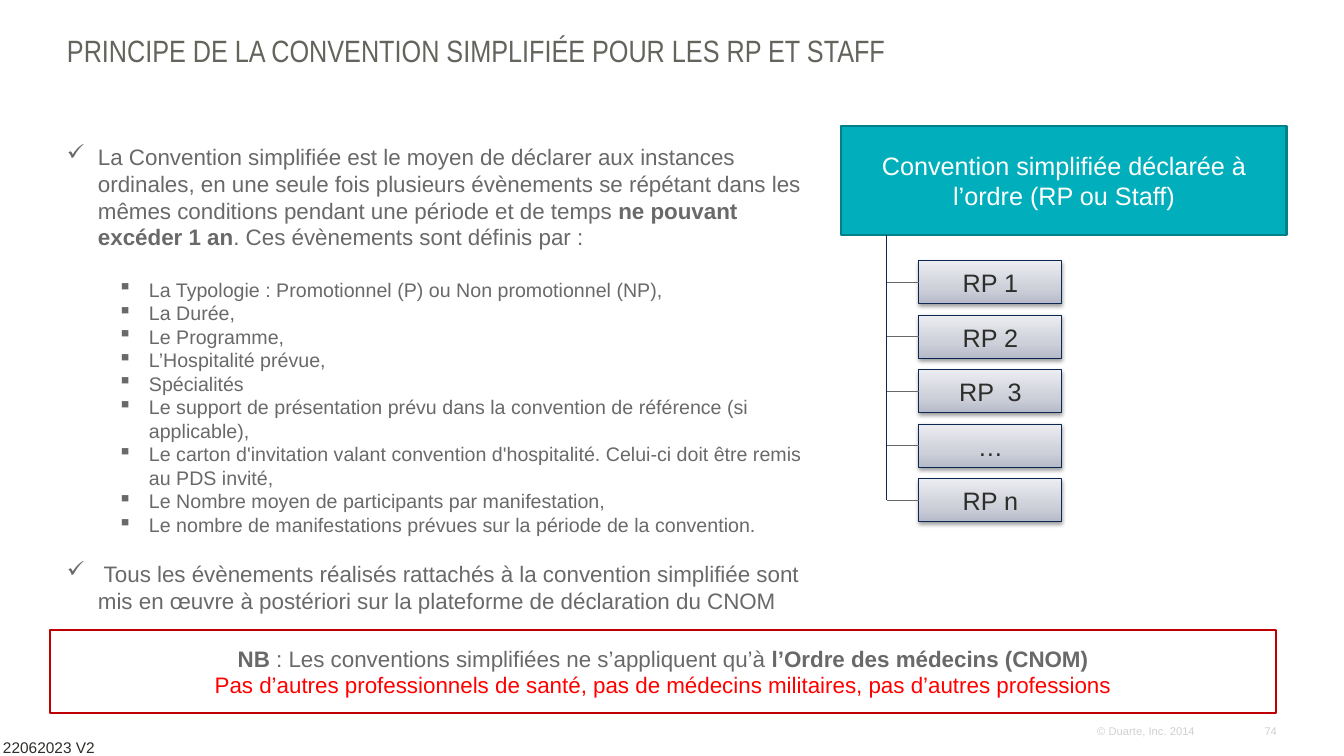
from lxml.etree import SubElement
from pptx import Presentation
from pptx.dml.color import RGBColor
from pptx.enum.shapes import MSO_CONNECTOR, MSO_SHAPE
from pptx.enum.text import MSO_ANCHOR, PP_ALIGN
from pptx.oxml.ns import qn
from pptx.util import Emu, Pt

TITLE = "PRINCIPE DE LA CONVENTION SIMPLIFIÉE POUR LES RP ET STAFF"
DEFINITION = [
    ("La Convention simplifiée est le moyen de déclarer aux instances ordinales, en une seule fois "
     "plusieurs évènements se répétant dans les mêmes conditions pendant une période et de temps ", False),
    ("ne pouvant excéder 1 an", True),
    (". Ces évènements sont définis par :", False),
]
CRITERIA = [
    "La Typologie : Promotionnel (P) ou Non promotionnel (NP),",
    "La Durée,",
    "Le Programme,",
    "L’Hospitalité prévue,",
    "Spécialités",
    "Le support de présentation prévu dans la convention de référence (si applicable),",
    "Le carton d'invitation valant convention d'hospitalité. Celui-ci doit être remis au PDS invité,",
    "Le Nombre moyen de participants par manifestation,",
    "Le nombre de manifestations prévues sur la période de la convention.",
]
FOLLOW_UP = [(" Tous les évènements réalisés rattachés à la convention simplifiée sont mis en œuvre "
              "à postériori sur la plateforme de déclaration du CNOM", False)]
CONVENTION = [("Convention simplifiée déclarée à l’ordre (RP ou Staff)", False)]
MEETINGS = ["RP 1", "RP 2", "RP  3", "…", "RP n"]
NOTE = [
    ("NB ", True),
    (": Les conventions simplifiées ne s’appliquent qu’à ", False),
    ("l’Ordre des médecins (CNOM)", True),
]
WARNING = [("Pas d’autres professionnels de santé, pas de médecins militaires, "
            "pas d’autres professions", False)]
# text, box in px, size, colour, alignment, margin in px
FOOTERS = [
    ("74", (1197, 724, 80, 13), 8, "D1D1D1", PP_ALIGN.RIGHT, 0),
    ("© Duarte, Inc. 2014", (1034, 724, 161, 13), 8, "D1D1D1", PP_ALIGN.RIGHT, 0),
    ("22062023 V2", (-7, 733, 285, 29), 11, "2D2D2A", PP_ALIGN.LEFT, (10, 5)),
]
GREY, DARK, NAVY = "696969", "2D2D2A", "0D2755"
MEETING_STOPS = [(0, "B6BAC9"), (35, "CDCFD9"), (100, "ECEDF1")]
MEETING_LEFT, MEETING_WIDTH, MEETING_HEIGHT = 919, 143, 43
FIRST_TOP, LAST_TOP = 261, 479
TRUNK_X, TRUNK_TOP = 887, 235


def px(length):
    return Emu(round(length * 914400 / 100.8))


def color(hex_string):
    return RGBColor.from_string(hex_string)


def place(shape, box):
    shape.left, shape.top, shape.width, shape.height = map(px, box)


def set_margins(frame, across=0, down=0):
    frame.margin_left = frame.margin_right = px(across)
    frame.margin_top = frame.margin_bottom = px(down)


def write(paragraph, runs, size, hex_string, align=PP_ALIGN.LEFT, font="Arial"):
    """Fill a paragraph with (text, bold) runs in one font."""
    for text, bold in runs:
        run = paragraph.add_run()
        run.text = text
        if bold:
            run.font.bold = True
    paragraph.alignment = align
    paragraph.font.name = font
    paragraph.font.size = Pt(size)
    paragraph.font.color.rgb = color(hex_string)


def add_bullet(paragraph, mark, margin, hanging=31):
    properties = paragraph._p.get_or_add_pPr()
    properties.set("marL", str(px(margin)))
    properties.set("indent", str(-px(hanging)))
    SubElement(properties, qn("a:buChar"), char=mark)


def add_box(slide, box, line, line_width, fill=None):
    shape = slide.shapes.add_shape(MSO_SHAPE.RECTANGLE, *map(px, box))
    if fill:
        shape.fill.solid()
        shape.fill.fore_color.rgb = color(fill)
    shape.line.color.rgb = color(line)
    shape.line.width = Pt(line_width)
    shape.shadow.inherit = False
    shape.text_frame.word_wrap = True
    shape.text_frame.vertical_anchor = MSO_ANCHOR.MIDDLE
    return shape


def add_color(parent, hex_string):
    return SubElement(parent, qn("a:srgbClr"), val=hex_string)


def shade(shape):
    """Give a meeting box its three-stop gradient and its soft shadow."""
    shape.fill.gradient()
    shape.fill.gradient_angle = 90
    properties = shape._element.spPr
    stops = properties.find(".//" + qn("a:gsLst"))
    for stop in list(stops):
        stops.remove(stop)
    for percent, hex_string in MEETING_STOPS:
        add_color(SubElement(stops, qn("a:gs"), pos=str(percent * 1000)), hex_string)
    shadow = SubElement(properties.find(qn("a:effectLst")), qn("a:outerShdw"),
                        blurRad=str(Pt(3.1)), dist=str(Pt(1.6)), dir="5400000", rotWithShape="0")
    SubElement(add_color(shadow, "000000"), qn("a:alpha"), val="38000")


def add_line(slide, start, end, hex_string):
    line = slide.shapes.add_connector(MSO_CONNECTOR.STRAIGHT, *map(px, start + end))
    line.line.color.rgb = color(hex_string)
    line.line.width = Pt(0.75)
    SubElement(line._element.spPr, qn("a:effectLst"))
    return line


def add_title(slide):
    title = slide.shapes.title
    place(title, (67, 36, 1210, 58))
    set_margins(title.text_frame)
    title.text_frame.vertical_anchor = MSO_ANCHOR.TOP
    heading = title.text_frame.paragraphs[0]
    write(heading, [(TITLE, False)], 22, "64645D", font="Arial Narrow")
    heading.line_spacing = 0.9


def add_footers(slide):
    for text, box, size, hex_string, align, margins in FOOTERS:
        frame = slide.shapes.add_textbox(*map(px, box)).text_frame
        frame.word_wrap = True
        set_margins(frame, *(margins or (0, 0)))
        write(frame.paragraphs[0], [(text, False)], size, hex_string, align)


def add_explanation(slide):
    frame = slide.shapes.add_textbox(*map(px, (67, 143, 756, 526))).text_frame
    frame.word_wrap = True
    set_margins(frame)
    definition = frame.paragraphs[0]
    add_bullet(definition, "✓", 31)
    write(definition, DEFINITION, 16, GREY)
    for index, text in enumerate(CRITERIA):
        criterion = frame.add_paragraph()
        criterion.level = 1
        if index == 0:
            criterion.space_before = Pt(19.3)
        add_bullet(criterion, "▪", 82)
        write(criterion, [(text, False)], 14, GREY)
    follow_up = frame.add_paragraph()
    follow_up.space_before = Pt(16.8)
    add_bullet(follow_up, "✓", 31)
    write(follow_up, FOLLOW_UP, 16, GREY)


def add_tree(slide):
    convention = add_box(slide, (841, 126, 446, 109), "00818A", 2, "00AFBB")
    write(convention.text_frame.paragraphs[0], CONVENTION, 18, "FFFFFF", PP_ALIGN.CENTER)
    pitch = (LAST_TOP - FIRST_TOP) / (len(MEETINGS) - 1)
    half = MEETING_HEIGHT / 2
    add_line(slide, (TRUNK_X, TRUNK_TOP), (TRUNK_X, LAST_TOP + half), NAVY)
    for index, name in enumerate(MEETINGS):
        top = FIRST_TOP + index * pitch
        meeting = add_box(slide, (MEETING_LEFT, top, MEETING_WIDTH, MEETING_HEIGHT), NAVY, 0.75)
        shade(meeting)
        write(meeting.text_frame.paragraphs[0], [(name, False)], 18, DARK, PP_ALIGN.CENTER)
        branch = add_line(slide, (TRUNK_X, top + half), (MEETING_LEFT, top + half), GREY)
        branch.end_connect(meeting, 1)


def add_note(slide):
    frame = add_box(slide, (50, 630, 1226, 83), "C00000", 2, "FFFFFF").text_frame
    write(frame.paragraphs[0], NOTE, 16, GREY, PP_ALIGN.CENTER)
    write(frame.add_paragraph(), WARNING, 16, "FF0000", PP_ALIGN.CENTER)


def main():
    deck = Presentation()
    deck.slide_width, deck.slide_height = px(1344), px(756)
    slide = deck.slides.add_slide(deck.slide_layouts[5])
    add_footers(slide)
    add_title(slide)
    add_explanation(slide)
    add_tree(slide)
    add_note(slide)
    deck.save("out.pptx")


if __name__ == "__main__":
    main()
